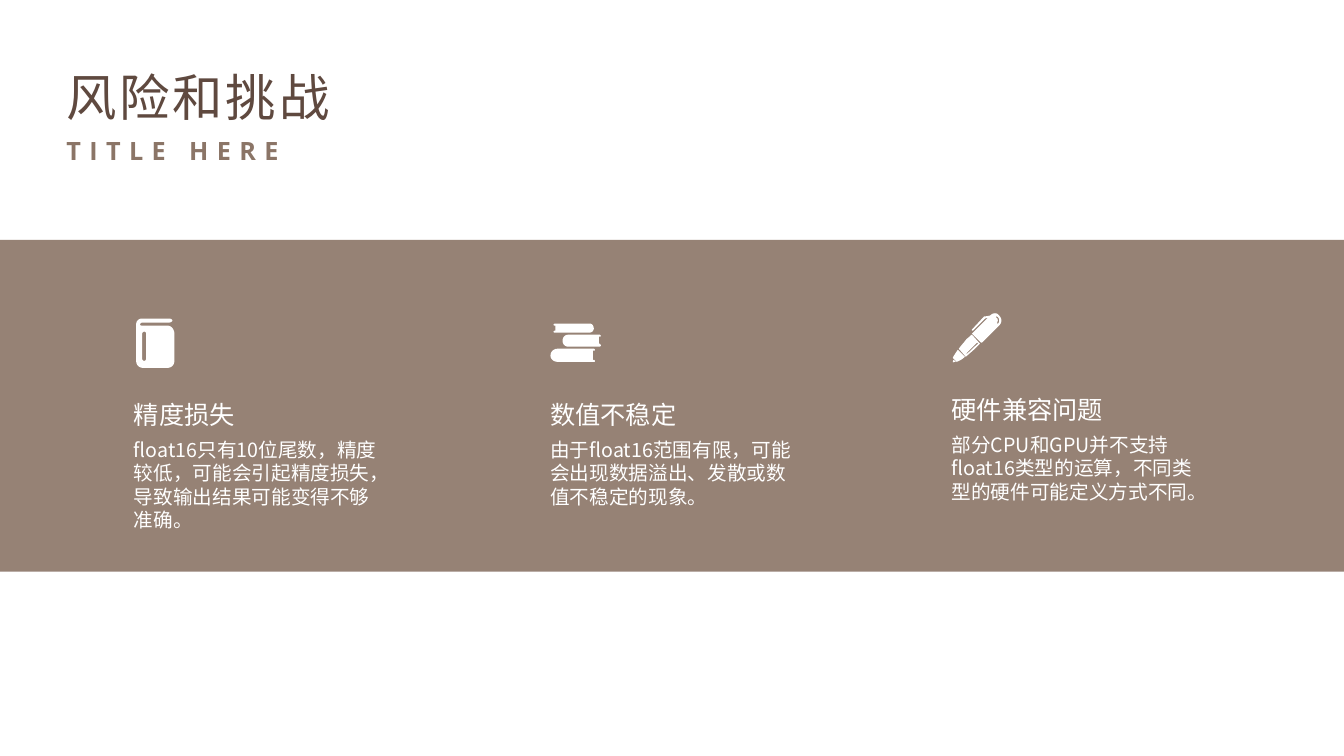
from dataclasses import dataclass
from itertools import chain

from lxml.etree import SubElement
from pptx import Presentation
from pptx.dml.color import RGBColor
from pptx.enum.shapes import MSO_SHAPE
from pptx.enum.text import MSO_AUTO_SIZE
from pptx.oxml.ns import qn
from pptx.shapes.autoshape import Shape
from pptx.slide import Slide
from pptx.text.text import TextFrame, _Paragraph as Paragraph
from pptx.util import Pt

PX = 9144  # EMU per px, 100 px to the inch
CURVE_STEPS = 6
Point = tuple[float, float]


@dataclass(frozen=True)
class Theme:
    title: str = "5F493F"
    brown: str = "8B7567"
    white: str = "FFFFFF"
    cjk: str = "Noto Sans CJK SC"
    latin: str = "Open Sans"
    title_size: int = 36
    head_size: int = 18
    body_size: int = 14


THEME = Theme()


@dataclass(frozen=True)
class Style:
    size: int
    color: str
    font: str = THEME.cjk
    bold: bool = False
    spacing: int = 0


@dataclass(frozen=True)
class Risk:
    left: int
    top: int
    height: int
    head: str
    body: str
    icon: tuple[str, ...]


TITLE = Style(THEME.title_size, THEME.title, spacing=2)
SUBTITLE = Style(THEME.head_size, THEME.brown, THEME.latin, True, 6)
HEAD = Style(THEME.head_size, THEME.white)
BODY = Style(THEME.body_size, THEME.white)

# Each string is one closed contour in page px: M start, L line, C cubic curve.
BOOK = (
    "M 166 323 L 141 323 C 140 323 139 323 139 322 C 139 321 140 320 141 320 L 168 320 "
    "C 169 320 171 319 171 318 C 171 317 169 316 168 316 L 141 316 C 138 316 135 318 135 322 "
    "L 135 358 C 135 362 138 365 142 365 L 166 365 C 170 365 173 362 173 358 L 173 331 "
    "C 173 327 170 323 166 323",
    "M 145 356 C 145 357 144 358 143 358 C 142 358 141 357 141 356 L 141 331 "
    "C 141 330 142 329 143 329 C 144 329 145 330 145 331",
)
BOOK_STACK = (
    "M 588 348 L 588 357 L 589 357 C 590 357 590 358 590 358 C 590 359 590 359 589 359 L 553 359 "
    "C 549 359 546 356 546 353 C 546 349 549 346 553 346 L 589 346 C 590 346 590 347 590 347 "
    "C 590 348 590 348 589 348",
    "M 595 341 L 594 341 L 594 334 L 595 334 C 595 334 596 334 596 333 C 596 333 595 332 595 332 "
    "L 564 332 C 560 332 558 335 558 338 C 558 341 560 344 564 344 L 595 344 "
    "C 595 344 596 343 596 343 C 596 342 595 341 595 341",
    "M 550 328 C 550 328 549 329 549 329 C 549 330 550 330 550 330 L 585 330 "
    "C 587 330 589 328 589 326 C 589 323 587 321 585 321 L 550 321 C 550 321 549 322 549 322 "
    "C 549 323 550 323 550 323 L 551 323 L 551 328",
)
PEN = (
    "M 946 357 L 948 359 C 946 359 945 360 945 359 C 945 359 945 358 946 357",
    "M 945 355 L 949 359 C 951 358 954 357 957 354 L 950 347 C 948 350 946 353 945 355",
    "M 964 332 L 972 341 C 971 342 969 344 968 345 C 965 348 961 351 958 354 L 951 346 "
    "C 953 343 956 340 959 336 C 961 335 962 333 964 332",
    "M 959 350 C 958 350 959 351 959 351 C 963 348 966 344 970 341 C 970 340 969 340 969 340 "
    "C 965 344 962 347 959 350",
    "M 991 323 L 975 339 C 975 339 974 340 973 340 L 964 331 C 965 330 965 330 966 329 "
    "L 980 315 L 977 316 L 965 328 C 965 328 964 328 964 328 C 964 327 964 327 964 327 "
    "L 976 314 C 976 314 976 314 977 314 L 982 313 C 985 310 989 310 991 313 "
    "C 994 316 994 320 991 323",
    "M 989 314 C 989 313 988 314 988 315 C 990 316 990 318 989 320 C 989 321 990 322 990 321 "
    "C 992 319 991 315 989 314",
)
RISKS = (
    Risk(123, 391, 143, "精度损失",
         "float16只有10位尾数，精度较低，可能会引起精度损失，导致输出结果可能变得不够准确。", BOOK),
    Risk(536, 391, 119, "数值不稳定",
         "由于float16范围有限，可能会出现数据溢出、发散或数值不稳定的现象。", BOOK_STACK),
    Risk(934, 386, 143, "硬件兼容问题",
         "部分CPU和GPU并不支持float16类型的运算，不同类型的硬件可能定义方式不同。", PEN),
)


def paint(shape: Shape, color: str) -> None:
    shape.shadow.inherit = False
    shape.fill.solid()
    shape.fill.fore_color.rgb = RGBColor.from_string(color)
    shape.line.fill.background()


def add_text_box(page: Slide, left: int, top: int, width: int, height: int) -> TextFrame:
    box = page.shapes.add_textbox(left * PX, top * PX, width * PX, height * PX)
    frame = box.text_frame
    frame.word_wrap = True
    frame.auto_size = MSO_AUTO_SIZE.SHAPE_TO_FIT_TEXT
    return frame


def add_span(para: Paragraph, text: str, style: Style) -> None:
    span = para.add_run()
    span.text = text
    font = span.font
    font.size, font.bold, font.name = Pt(style.size), style.bold, style.font
    font.color.rgb = RGBColor.from_string(style.color)
    props = span._r.get_or_add_rPr()
    SubElement(props, qn("a:ea")).set("typeface", style.font)
    if style.spacing:
        props.set("spc", str(style.spacing * 100))


def flatten(contour: str) -> list[Point]:
    """Turn a contour into points, sampling each curve at equal steps."""
    points: list[Point] = []
    tokens = iter(contour.split())
    for command in tokens:
        count = 3 if command == "C" else 1
        ends = [(int(next(tokens)), int(next(tokens))) for _ in range(count)]
        if command != "C":
            points += ends
            continue
        controls = [points[-1], *ends]
        for step in range(1, CURVE_STEPS + 1):
            t = step / CURVE_STEPS
            weights = ((1 - t) ** 3, 3 * t * (1 - t) ** 2, 3 * t * t * (1 - t), t ** 3)
            x, y = (sum(w * p[axis] for w, p in zip(weights, controls)) for axis in (0, 1))
            points.append((x, y))
    return [(x * PX, y * PX) for x, y in points]


def add_icon(page: Slide, contours: tuple[str, ...]) -> None:
    first, *others = map(flatten, contours)
    builder = page.shapes.build_freeform(*first[0], scale=1.0)
    builder.add_line_segments(first[1:], close=True)
    for points in others:
        builder.move_to(*points[0])
        builder.add_line_segments(points[1:], close=True)
    paint(builder.convert_to_shape(), THEME.white)


def add_band(page: Slide) -> None:
    band = page.shapes.add_shape(MSO_SHAPE.ROUNDED_RECTANGLE, 0, 238 * PX, 1333 * PX, 329 * PX)
    band.adjustments[0] = 0
    paint(band, THEME.brown)
    color = next(band._element.spPr.iter(qn("a:srgbClr")))
    SubElement(color, qn("a:alpha")).set("val", "90000")


def add_risk(page: Slide, risk: Risk) -> None:
    frame = add_text_box(page, risk.left, risk.top, 261, risk.height)
    add_span(frame.paragraphs[0], risk.head, HEAD)
    para = frame.add_paragraph()
    para.space_before = Pt(6)
    add_span(para, risk.body, BODY)
    add_icon(page, risk.icon)


def main() -> None:
    deck = Presentation()
    deck.slide_width, deck.slide_height = 1333 * PX, 750 * PX
    page = deck.slides.add_slide(deck.slide_layouts[6])
    add_span(add_text_box(page, 56, 129, 451, 40).paragraphs[0], "TITLE HERE", SUBTITLE)
    add_span(add_text_box(page, 56, 61, 424, 71).paragraphs[0], "风险和挑战", TITLE)
    add_band(page)
    for risk in RISKS:
        add_risk(page, risk)
    deck.save("out.pptx")


if __name__ == "__main__":
    main()
